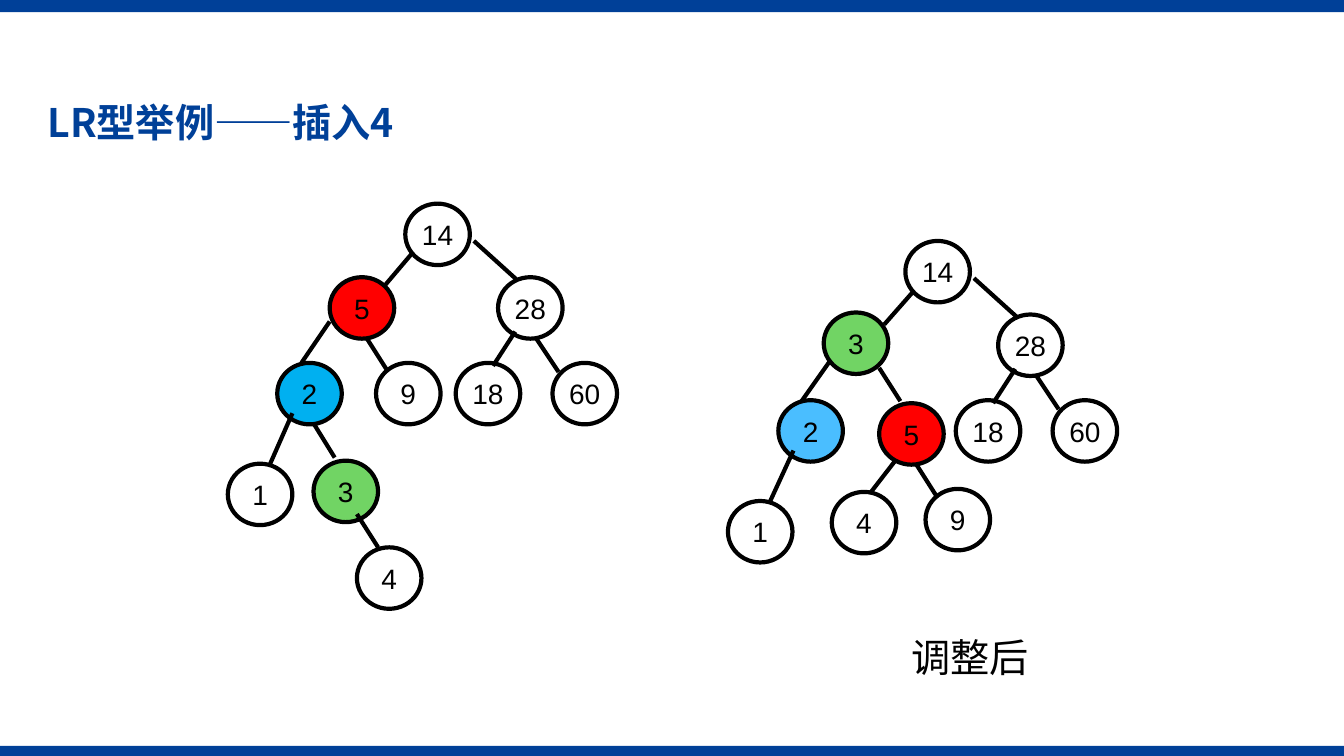
from lxml.etree import SubElement
from pptx import Presentation
from pptx.dml.color import RGBColor
from pptx.enum.shapes import MSO_CONNECTOR as Connector, MSO_SHAPE as Shape
from pptx.enum.text import MSO_ANCHOR as Anchor, MSO_AUTO_SIZE as AutoSize, PP_ALIGN as Align
from pptx.oxml.ns import qn
from pptx.util import Inches, Pt

SLIDE_W, SLIDE_H = 13.33, 7.5
NODE_W, NODE_H = 0.64, 0.61
BLUE, BLACK, RED, GREEN = "004098", "000000", "FF0000", "71D464"

# Key: label -> (x, y, fill), measured from the top left of the tree's box
SHARED_NODES = {
    "14": (1.76, 0, None),
    "28": (2.68, 0.73, None),
    "18": (2.26, 1.58, None),
    "60": (3.22, 1.58, None),
    "1": (0, 2.58, None),
}
BEFORE_NODES = SHARED_NODES | {
    "5": (1.01, 0.73, RED),
    "2": (0.49, 1.58, "00B0F0"),
    "9": (1.47, 1.58, None),
    "3": (0.85, 2.55, GREEN),
    "4": (1.28, 3.41, None),
}
AFTER_NODES = SHARED_NODES | {
    "3": (0.95, 0.71, GREEN),
    "2": (0.5, 1.58, "4ABEFF"),
    "5": (1.5, 1.61, RED),
    "9": (1.96, 2.46, None),
    "4": (1.03, 2.49, None),
}

# Key: (parent, child) -> offsets of the ends inside the parent and the child
SHARED_EDGES = {
    ("14", "28"): ((0.68, 0.37), (0.18, 0.02)),
    ("28", "18"): ((0.17, 0.54), (0.37, 0.03)),
    ("28", "60"): ((0.38, 0.61), (0.06, 0.09)),
    ("5", "9"): ((0.37, 0.61), (0.12, 0.09)),
    ("2", "1"): ((0.15, 0.5), (0.42, 0)),
}
BEFORE_EDGES = SHARED_EDGES | {
    ("14", "5"): ((0.07, 0.49), (0.54, 0.09)),
    ("5", "2"): ((0, 0.44), (0.24, 0)),
    ("2", "3"): ((0.36, 0.6), (0.21, -0.03)),
    ("3", "4"): ((0.43, 0.53), (0.21, 0)),
}
AFTER_EDGES = SHARED_EDGES | {
    ("14", "3"): ((0.08, 0.5), (0.6, 0.12)),
    ("3", "2"): ((0.07, 0.47), (0.23, 0.01)),
    ("3", "5"): ((0.55, 0.55), (0.21, -0.02)),
    ("5", "4"): ((0.16, 0.57), (0.39, 0)),
}


def color(hex_code):
    """Turn a hex string into a colour."""
    return RGBColor.from_string(hex_code)


def inches(*lengths):
    """Convert lengths in inches to slide units."""
    return [Inches(length) for length in lengths]


def style(paragraph, face, size, hex_code, bold=False):
    """Set the font of a paragraph for Latin and East Asian text."""
    font = paragraph.font
    font.name, font.size, font.bold = face, Pt(size), bold
    font.color.rgb = color(hex_code)
    defaults = paragraph._p.pPr.find(qn("a:defRPr"))
    SubElement(defaults, qn("a:ea"), typeface="Noto Sans CJK SC")


def add_bar(slide, top, height):
    """Draw a full-width bar."""
    bar = slide.shapes.add_shape(Shape.RECTANGLE, *inches(0, top, SLIDE_W, height))
    bar.shadow.inherit = False
    bar.fill.solid()
    bar.fill.fore_color.rgb = color(BLUE)
    bar.line.fill.background()


def add_title(slide, box, wording):
    """Place the slide's title in the given box."""
    title = slide.shapes.title
    title.left, title.top, title.width, title.height = inches(*box)
    frame = title.text_frame
    frame.text = wording
    frame.vertical_anchor = Anchor.TOP
    frame.auto_size = AutoSize.NONE
    heading = frame.paragraphs[0]
    heading.alignment = Align.LEFT
    heading.line_spacing = 0.9
    style(heading, "Noto Sans CJK SC", 28, BLUE, bold=True)


def add_node(slide, left, top, label, fill):
    """Draw one labelled tree node."""
    node = slide.shapes.add_shape(Shape.OVAL, *inches(left, top, NODE_W, NODE_H))
    node.shadow.inherit = False
    if fill:
        node.fill.solid()
        node.fill.fore_color.rgb = color(fill)
    else:
        node.fill.background()
    node.line.color.rgb = color(BLACK)
    node.line.width = Pt(3)
    frame = node.text_frame
    frame.margin_left = frame.margin_right = 0
    frame.margin_top = frame.margin_bottom = Inches(0.03)
    frame.vertical_anchor = Anchor.MIDDLE
    frame.text = label
    frame.paragraphs[0].alignment = Align.CENTER
    style(frame.paragraphs[0], "Arial", 20, BLACK)


def add_edge(slide, start, end):
    """Draw one branch between two points."""
    edge = slide.shapes.add_connector(Connector.STRAIGHT, *inches(*start, *end))
    edge.line.color.rgb = color(BLACK)
    edge.line.width = Pt(3)
    SubElement(edge._element.spPr, qn("a:effectLst"))


def add_tree(slide, left, top, nodes, edges):
    """Draw a search tree from the top left corner of its box."""
    for label, (x, y, fill) in nodes.items():
        add_node(slide, left + x, top + y, label, fill)
    for ends, offsets in edges.items():
        start, end = [
            (left + nodes[label][0] + dx, top + nodes[label][1] + dy)
            for label, (dx, dy) in zip(ends, offsets)
        ]
        add_edge(slide, start, end)


def add_caption(slide, box, wording):
    """Write the caption of a tree."""
    frame = slide.shapes.add_textbox(*inches(*box)).text_frame
    frame.word_wrap = True
    frame.text = wording
    style(frame.paragraphs[0], "Times New Roman", 28, BLACK)


def main():
    """Build the slide and save it."""
    deck = Presentation()
    deck.slide_width, deck.slide_height = inches(SLIDE_W, SLIDE_H)
    slide = deck.slides.add_slide(deck.slide_layouts[5])
    add_bar(slide, 0, 0.12)
    add_bar(slide, SLIDE_H - 0.1, 0.1)
    add_title(slide, (0.37, 0.98, 8.5, 1.18), "LR型举例——插入4")
    add_tree(slide, 2.26, 2.02, BEFORE_NODES, BEFORE_EDGES)
    add_tree(slide, 7.22, 2.39, AFTER_NODES, AFTER_EDGES)
    add_caption(slide, (8.94, 6.23, 2.36, 0.57), "调整后")
    deck.save("out.pptx")


if __name__ == "__main__":
    main()
